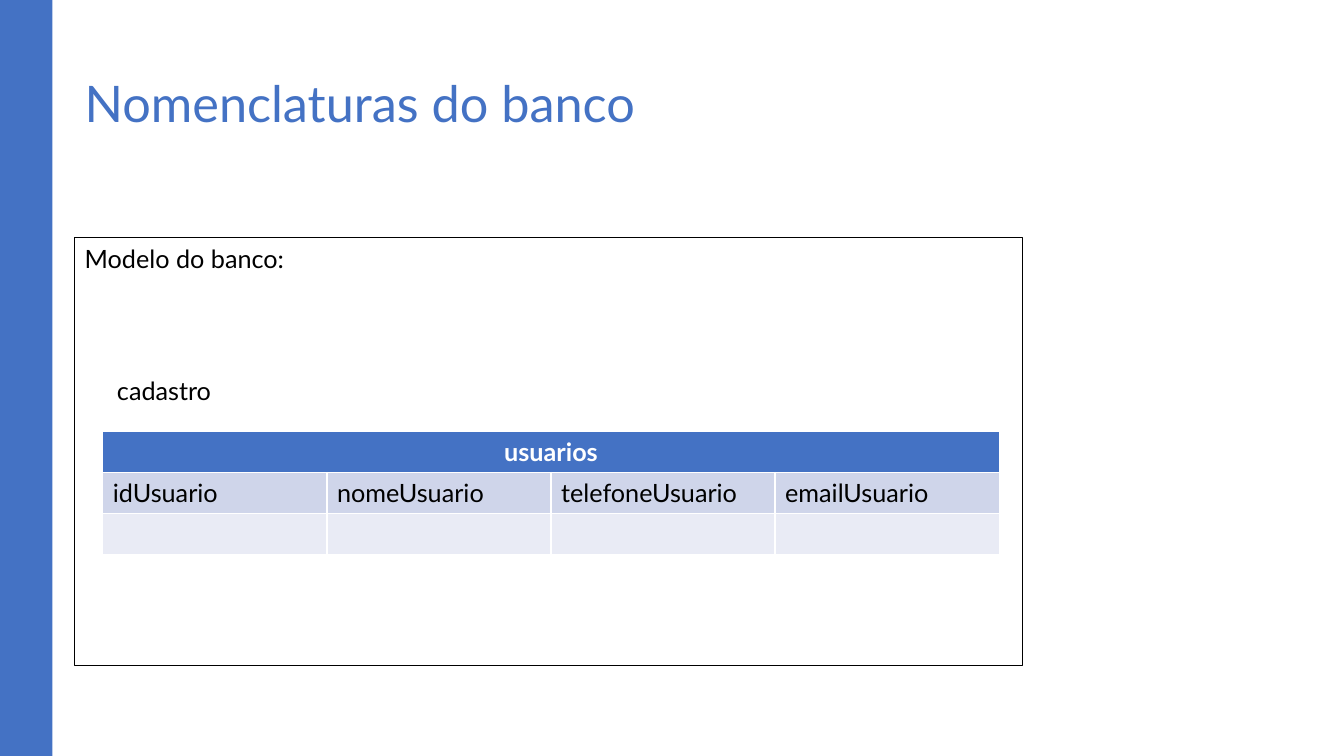
"""Build a slide showing the naming used in a database model."""
from lxml.etree import SubElement
from pptx import Presentation
from pptx.dml.color import RGBColor
from pptx.enum.shapes import MSO_SHAPE
from pptx.enum.text import MSO_ANCHOR, MSO_AUTO_SIZE, PP_ALIGN
from pptx.oxml.ns import qn
from pptx.util import Inches, Pt

BLUE, BLACK, WHITE = "4472C4", "000000", "FFFFFF"
ROW_FILLS = [BLUE, "CFD5EA", "E9EBF5"]
COLUMNS = ["idUsuario", "nomeUsuario", "telefoneUsuario", "emailUsuario"]


def paint(color_format, color):
    color_format.rgb = RGBColor.from_string(color)


def write(paragraph, text, color, size=18, bold=False, align=PP_ALIGN.LEFT):
    paragraph.alignment = align
    run = paragraph.add_run()
    run.text = text
    for name, value in {"name": "Lato", "size": Pt(size), "bold": bold}.items():
        setattr(run.font, name, value)
    paint(run.font.color, color)


presentation = Presentation()
presentation.slide_width = Inches(13.33)
presentation.slide_height = Inches(7.5)
slide = presentation.slides.add_slide(presentation.slide_layouts[1])

bar = slide.shapes.add_shape(MSO_SHAPE.RECTANGLE, 0, 0, Inches(0.52), Inches(7.5))
bar.shadow.inherit = False
bar.fill.solid()
paint(bar.fill.fore_color, BLUE)
bar.line.fill.background()

title, body = slide.shapes.title, slide.placeholders[1]
for placeholder, top, height in [(title, 0.67, 1.44), (body, 2.36, 4.24)]:
    frame_format = {"left": 0.74, "top": top, "width": 9.4, "height": height}
    for name, value in frame_format.items():
        setattr(placeholder, name, Inches(value))
    placeholder.text_frame.auto_size = MSO_AUTO_SIZE.NONE
    placeholder.text_frame.vertical_anchor = MSO_ANCHOR.TOP

write(title.text_frame.paragraphs[0], "Nomenclaturas do banco", BLUE, size=36)

body.fill.solid()
paint(body.fill.fore_color, WHITE)
paint(body.line.color, BLACK)
body.line.width = Pt(0.75)
heading = body.text_frame.paragraphs[0]
database = body.text_frame.add_paragraph()
for paragraph, text, space, indent in [
    (heading, "Modelo do banco:", 10, 0),
    (database, "cadastro", 73, 0.32),
]:
    write(paragraph, text, BLACK)
    paragraph.space_before = Pt(space)
    properties = paragraph._p.get_or_add_pPr()
    properties.set("marL", str(Inches(indent)))
    properties.set("indent", "0")
    SubElement(properties, qn("a:buNone"))

table = slide.shapes.add_table(
    len(ROW_FILLS), len(COLUMNS), Inches(1.02), Inches(4.28), Inches(8.89), Inches(1.22)
).table
for row, color in zip(table.rows, ROW_FILLS):
    for cell in row.cells:
        cell.fill.solid()
        paint(cell.fill.fore_color, color)

header = table.cell(0, 0)
header.merge(table.cell(0, len(COLUMNS) - 1))
write(header.text_frame.paragraphs[0], "usuarios", WHITE, bold=True, align=PP_ALIGN.CENTER)
for cell, column in zip(table.rows[1].cells, COLUMNS):
    write(cell.text_frame.paragraphs[0], column, BLACK)

presentation.save("out.pptx")
